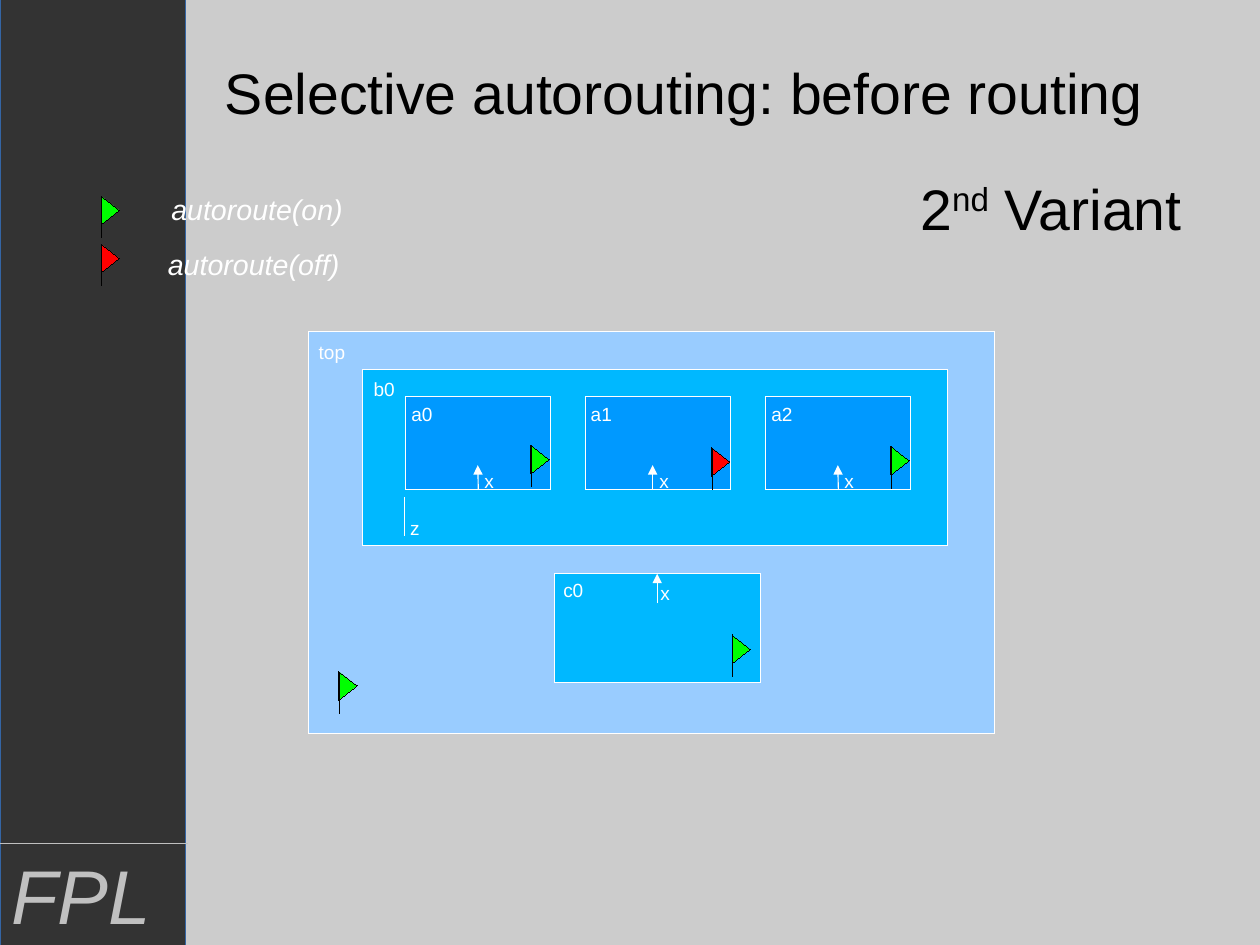
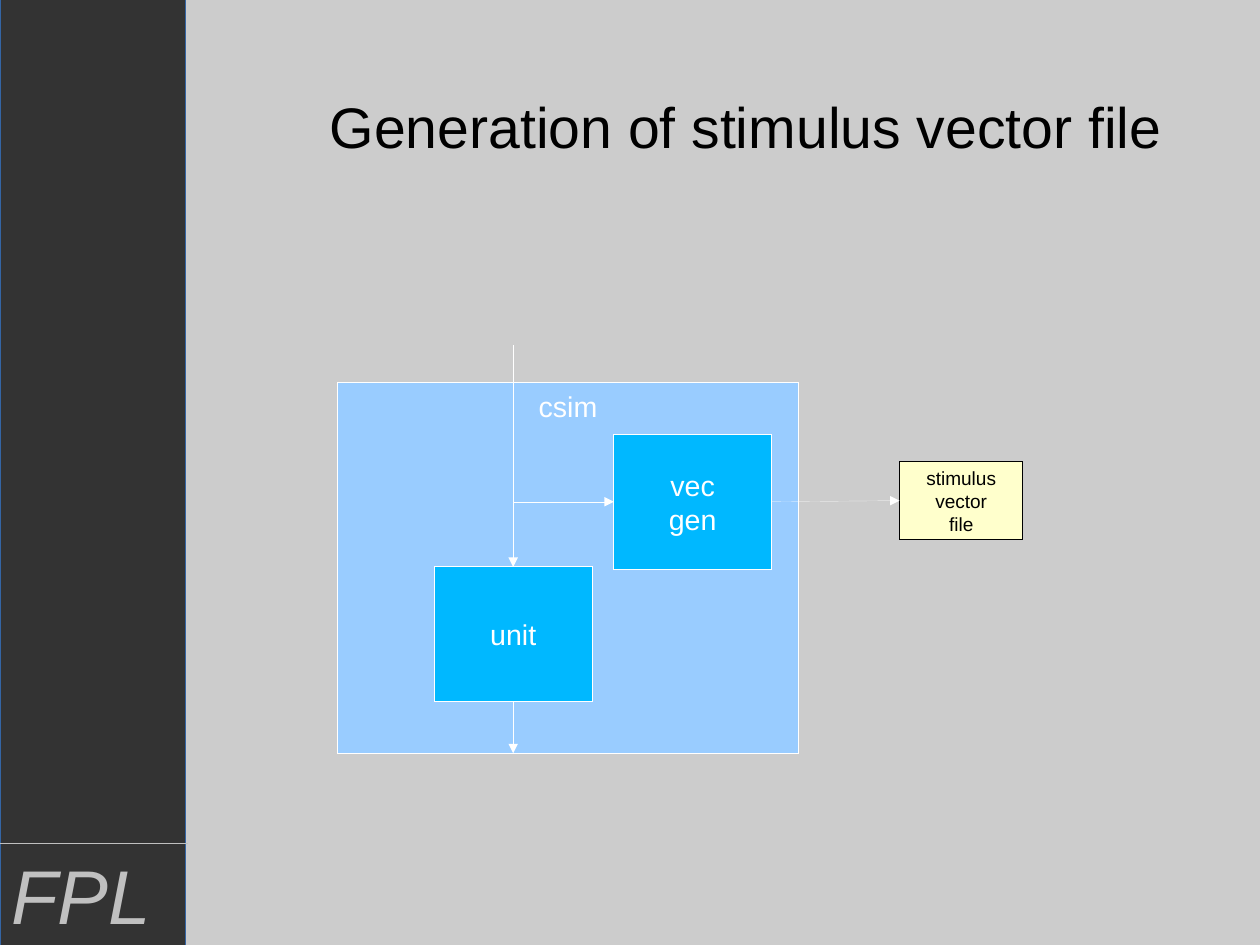
import pptx
import pptx.util
import pptx.dml.color
import pptx.enum.shapes
import pptx.enum.text
import pptx.oxml.ns
import lxml.etree

Inches = pptx.util.Inches
Pt = pptx.util.Pt
ink = pptx.dml.color.RGBColor.from_string
qn = pptx.oxml.ns.qn
KIND = pptx.enum.shapes.MSO_SHAPE
ALIGN = pptx.enum.text.PP_ALIGN
ANCHOR = pptx.enum.text.MSO_ANCHOR
FIT = pptx.enum.text.MSO_AUTO_SIZE

FONT = "Arial"
WHITE, BLACK, SILVER = "FFFFFF", "000000", "C0C0C0"
PALE, SKY, BLUE = "99CCFF", "00B8FF", "0099FF"
GREEN, RED = "00FF00", "FF0000"
HAIR = 0.01


def box(shapes, kind, x, y, w, h, fill=None, edge=None, text="", size=12, hue=WHITE):
    area = Inches(x), Inches(y), Inches(w), Inches(h)
    if kind is None:
        shape = shapes.add_textbox(*area)
    else:
        shape = shapes.add_shape(kind, *area)
        shape.shadow.inherit = False
        shape.fill.solid()
        shape.fill.fore_color.rgb = ink(fill)
        shape.line.color.rgb = ink(edge)
        shape.line.width = Pt(HAIR)
    if text:
        frame = shape.text_frame
        frame.word_wrap = True
        frame.text = text
        frame.vertical_anchor = ANCHOR.MIDDLE if kind else ANCHOR.TOP
        for para in frame.paragraphs:
            para.alignment = ALIGN.CENTER if kind else ALIGN.LEFT
            for run in para.runs:
                run.font.name = FONT
                run.font.size = Pt(size)
                run.font.color.rgb = ink(hue)
    return shape


def wire(shapes, x1, y1, x2, y2, hue=WHITE, width=HAIR, head=True, start=None, end=None):
    line = shapes.add_connector(
        pptx.enum.shapes.MSO_CONNECTOR.STRAIGHT,
        Inches(x1), Inches(y1), Inches(x2), Inches(y2))
    if start:
        line.begin_connect(*start)
    if end:
        line.end_connect(*end)
    line.line.color.rgb = ink(hue)
    line.line.width = Pt(width)
    props = line.element.spPr
    if head:
        tip = lxml.etree.SubElement(props.find(qn("a:ln")), qn("a:tailEnd"))
        tip.set("type", "triangle")
    lxml.etree.SubElement(props, qn("a:effectLst"))
    return line


deck = pptx.Presentation()
deck.slide_width = Inches(28 / 2.54)
deck.slide_height = Inches(21 / 2.54)

master = deck.slide_master
master.background.fill.solid()
master.background.fill.fore_color.rgb = ink("CCCCCC")

heads = [
    ("Selective autorouting: before routing", 0.9, 0.21, 10.17, 1.18),
    ("Generation of stimulus vector file", 2.85, 0.38, 7.35, 1.44),
]
pages = []
for text, x, y, w, h in heads:
    slide = deck.slides.add_slide(deck.slide_layouts[5])
    title = slide.shapes.title
    title.left, title.top = Inches(x), Inches(y)
    title.width, title.height = Inches(w), Inches(h)
    frame = title.text_frame
    frame.text = text
    frame.auto_size = FIT.NONE
    frame.vertical_anchor = ANCHOR.MIDDLE
    frame.margin_left = frame.margin_right = frame.margin_top = frame.margin_bottom = 0
    frame.paragraphs[0].alignment = ALIGN.CENTER
    font = frame.paragraphs[0].runs[0].font
    font.name, font.size, font.color.rgb = FONT, Pt(36), ink(BLACK)
    pages.append(slide.shapes)

first, second = pages

band = box(first, KIND.RECTANGLE, 0, 0, 1.62, 8.27, "333333", "3465A4")
mark = box(first, None, 0, 7.37, 2.06, 0.85, text="FPL", size=48, hue=SILVER)
mark.text_frame.paragraphs[0].runs[0].font.italic = True
rule = wire(first, 0, 7.38, 1.64, 7.38, SILVER, head=False)
for part in (band, mark, rule):
    master.shapes.element.append(part.element)

box(first, KIND.RECTANGLE, 2.7, 2.9, 6, 3.52, PALE, WHITE)
box(first, KIND.RECTANGLE, 3.17, 3.23, 5.12, 1.54, SKY, WHITE)
for name, x, mid in (("a0", 3.55, 4.18), ("a1", 5.12, 5.71), ("a2", 6.7, 7.33)):
    cell = box(first, KIND.RECTANGLE, x, 3.47, 1.27, 0.81, BLUE, WHITE)
    join = None if name == "a1" else (cell, 2)
    wire(first, mid, 4.28, mid, 4.07, width=0.71, start=join)
    box(first, None, x - 0.05, 3.47, 0.5, 0.29, text=name)
    box(first, None, mid - 0.04, 4.06, 0.3, 0.29, text="x")
wire(first, 3.54, 4.35, 3.54, 4.69, width=0.71, head=False)

core = box(first, KIND.RECTANGLE, 4.85, 5.02, 1.8, 0.95, SKY, WHITE)
wire(first, 5.75, 5.28, 5.75, 5.02, width=0.71, end=(core, 0))

labels = [("top", 2.69, 2.93), ("b0", 3.17, 3.25), ("z", 3.49, 4.47),
          ("c0", 4.83, 5.01), ("x", 5.68, 5.04)]
for text, x, y in labels:
    box(first, None, x, y, 0.54, 0.29, text=text)

flags = [(4.65, 3.9, GREEN), (6.23, 3.92, RED), (7.8, 3.91, GREEN), (6.41, 5.56, GREEN),
         (2.97, 5.88, GREEN), (0.89, 1.72, GREEN), (0.89, 2.14, RED)]
for x, y, hue in flags:
    group = first.add_group_shape().shapes
    cloth = box(group, KIND.FLOWCHART_MERGE, x - 0.05, y + 0.04, 0.25, 0.16, hue, BLACK)
    cloth.rotation = 270
    wire(group, x, y, x, y + 0.36, BLACK, head=False)

for text, x, y in (("autoroute(on)", 1.4, 1.63), ("autoroute(off)", 1.37, 2.11)):
    key = box(first, None, x, y, 1.78, 0.38, text=text, size=18)
    key.text_frame.paragraphs[0].runs[0].font.italic = True

note = box(first, None, 8, 1.29, 2.39, 1.05, text="2", size=36, hue=BLACK)
frame = note.text_frame
frame.vertical_anchor = ANCHOR.MIDDLE
frame.margin_left = frame.margin_right = frame.margin_top = frame.margin_bottom = 0
para = frame.paragraphs[0]
para.alignment = ALIGN.CENTER
for text, lift in (("nd", "33000"), (" Variant", "0")):
    run = para.add_run()
    run.text = text
    run.font.name, run.font.size, run.font.color.rgb = FONT, Pt(36), ink(BLACK)
    run.font._element.set("baseline", lift)

csim = box(second, KIND.RECTANGLE, 2.95, 3.35, 4.04, 3.24, PALE, WHITE, "csim", 18)
csim.text_frame.vertical_anchor = ANCHOR.TOP
unit = box(second, KIND.RECTANGLE, 3.8, 4.96, 1.38, 1.18, SKY, WHITE, "unit", 18)
gen = box(second, KIND.RECTANGLE, 5.37, 3.8, 1.38, 1.18, SKY, WHITE, "vec\ngen", 18)
sheet = box(second, KIND.RECTANGLE, 7.87, 4.04, 1.08, 0.68, "FFFFCC", BLACK,
            "stimulus\nvector\nfile", 12, BLACK)
wire(second, 4.49, 4.39, 5.37, 4.39, end=(gen, 1))
wire(second, 6.75, 4.39, 7.87, 4.38, start=(gen, 3), end=(sheet, 1))
wire(second, 4.49, 3.02, 4.49, 4.96, end=(unit, 0))
wire(second, 4.49, 6.14, 4.49, 6.59, start=(unit, 2))

deck.save("out.pptx")
